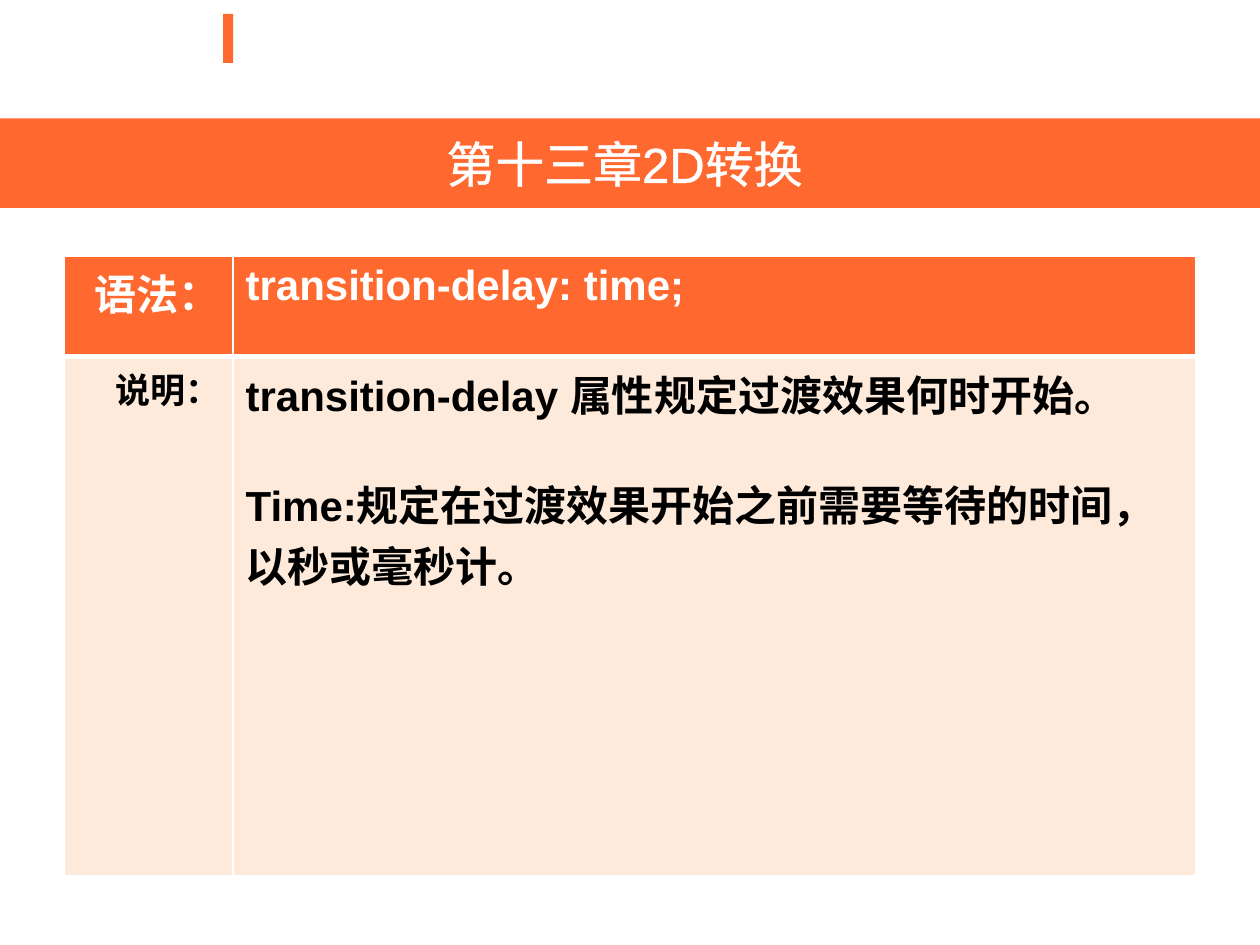
from dataclasses import dataclass

from lxml import etree
from pptx import Presentation
from pptx.dml.color import RGBColor
from pptx.enum import shapes, text
from pptx.oxml import ns
from pptx.util import Inches, Pt


@dataclass(frozen=True)
class Theme:
    font: str = "Arial"
    accent: str = "FF682F"
    tint: str = "FDEADA"
    light: str = "FFFFFF"
    dark: str = "000000"
    title_size: float = 28
    body_size: float = 24
    label_size: float = 20
    outline: float = 1.45
    thin: float = 1
    thick: float = 3
    paragraph_gap: float = 28


def add_line(parent, tag, index, width, color):
    line = etree.Element(ns.qn(tag), w=str(Pt(width)))
    fill = etree.SubElement(line, ns.qn("a:solidFill"))
    etree.SubElement(fill, ns.qn("a:srgbClr"), val=color)
    parent.insert(index, line)


class SlideBuilder:
    def __init__(self, slide, theme):
        self.slide = slide
        self.theme = theme

    def set_text(self, frame, paragraphs, size, color, bold=False, align=text.PP_ALIGN.LEFT):
        frame.text = "\n".join(paragraphs)
        for index, paragraph in enumerate(frame.paragraphs):
            paragraph.alignment = align
            if index:
                paragraph.space_before = Pt(self.theme.paragraph_gap)
            for run in paragraph.runs:
                run.font.name = self.theme.font
                run.font.size = Pt(size)
                run.font.bold = bold
                run.font.color.rgb = RGBColor.from_string(color)

    def bar(self, left, top, width, height):
        bar = self.slide.shapes.add_shape(
            shapes.MSO_SHAPE.RECTANGLE, Inches(left), Inches(top), Inches(width), Inches(height))
        bar.shadow.inherit = False
        bar.fill.solid()
        bar.fill.fore_color.rgb = RGBColor.from_string(self.theme.accent)
        bar.line.fill.background()
        return bar

    def title_band(self, title, left, top, width, height):
        frame = self.bar(left, top, width, height).text_frame
        frame.vertical_anchor = text.MSO_ANCHOR.MIDDLE
        self.set_text(frame, [title], self.theme.title_size, self.theme.light,
                      align=text.PP_ALIGN.CENTER)
        for run in frame.paragraphs[0].runs:
            add_line(run._r.get_or_add_rPr(), "a:ln", 0, self.theme.outline, self.theme.light)

    def table(self, rows, left, top, widths, heights):
        table = self.slide.shapes.add_table(
            len(rows), len(widths), Inches(left), Inches(top),
            Inches(sum(widths)), Inches(sum(heights))).table
        for column, width in zip(table.columns, widths):
            column.width = Inches(width)
        for row, height in zip(table.rows, heights):
            row.height = Inches(height)
        theme = self.theme
        for r, (label, paragraphs) in enumerate(rows):
            header = r == 0
            fill, color = (theme.accent, theme.light) if header else (theme.tint, theme.dark)
            label_size = theme.body_size if header else theme.label_size
            label_cell, content_cell = table.cell(r, 0), table.cell(r, 1)
            self.set_text(label_cell.text_frame, [label], label_size, color, True,
                          text.PP_ALIGN.RIGHT)
            self.set_text(content_cell.text_frame, paragraphs, theme.body_size, color, True)
            for cell in (label_cell, content_cell):
                self.style_cell(cell, fill, header)

    def style_cell(self, cell, fill, header):
        theme = self.theme
        cell.fill.solid()
        cell.fill.fore_color.rgb = RGBColor.from_string(fill)
        # The thick rule runs between the header and the body
        top, bottom = (theme.thin, theme.thick) if header else (theme.thick, theme.thin)
        borders = {"a:lnL": theme.thin, "a:lnR": theme.thin, "a:lnT": top, "a:lnB": bottom}
        for index, (side, width) in enumerate(borders.items()):
            add_line(cell._tc.get_or_add_tcPr(), side, index, width, theme.light)


def main():
    deck = Presentation()
    deck.slide_width, deck.slide_height = Inches(10), Inches(7.5)
    builder = SlideBuilder(deck.slides.add_slide(deck.slide_layouts[6]), Theme())

    # Accent mark and chapter title
    builder.bar(1.77, 0.11, 0.08, 0.39)
    builder.title_band("第十三章2D转换 ", 0, 0.94, 10, 0.71)

    # Syntax and its explanation
    rows = [
        ("语法：", ["transition-delay: time;"]),
        ("说明：", ["transition-delay 属性规定过渡效果何时开始。",
                  "Time:规定在过渡效果开始之前需要等待的时间，以秒或毫秒计。"]),
    ]
    builder.table(rows, 0.51, 2.03, widths=[1.34, 7.64], heights=[0.8, 4.12])

    deck.save("out.pptx")


if __name__ == "__main__":
    main()
